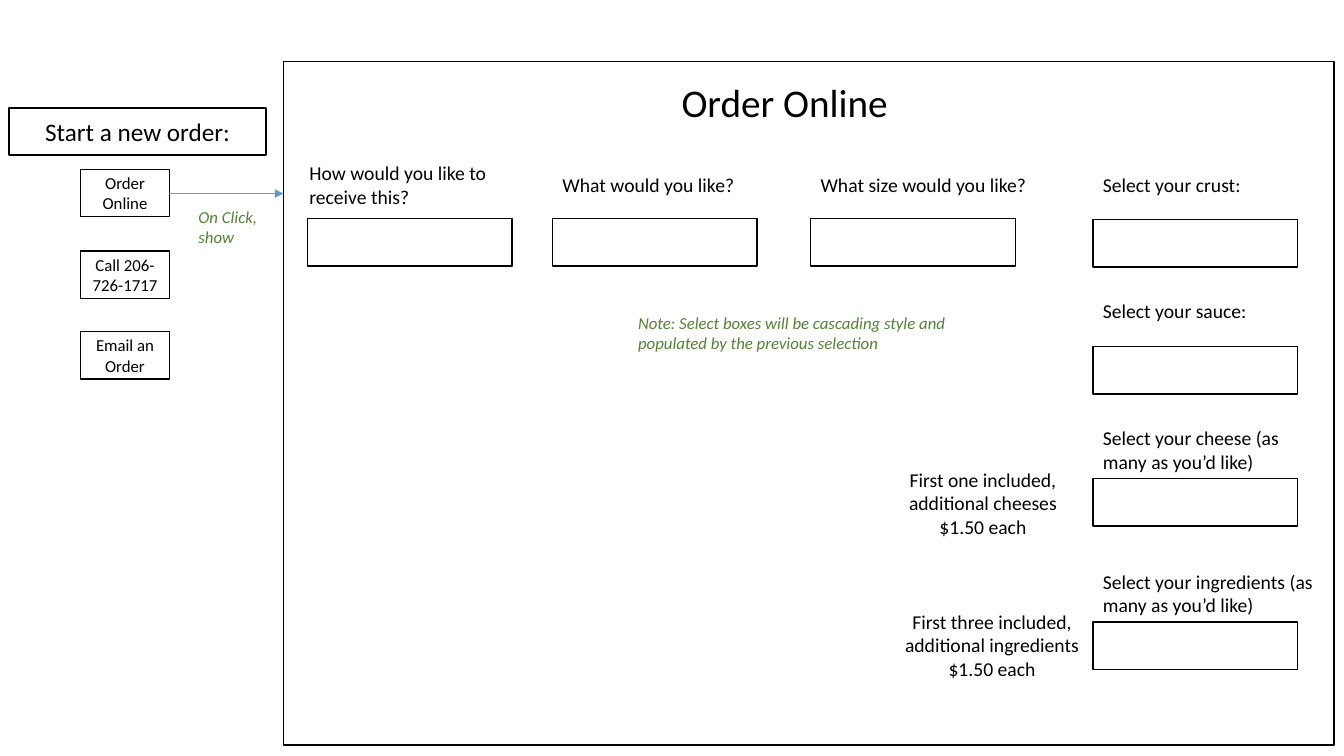
from dataclasses import dataclass

from lxml.etree import SubElement
from pptx import Presentation
from pptx.dml.color import RGBColor
from pptx.enum.shapes import MSO_CONNECTOR as Conn, MSO_SHAPE as Kind
from pptx.enum.text import MSO_ANCHOR as Anchor, MSO_AUTO_SIZE as Auto, PP_ALIGN as Align
from pptx.oxml.ns import qn
from pptx.util import Emu, Pt

PX = 9144
BLACK, WHITE, GREEN, BLUE = "000000", "FFFFFF", "548235", "5B9BD5"
BOX_W, BOX_H = 203, 47


@dataclass(frozen=True)
class Rect:
    x: int
    y: int
    w: int
    h: int


@dataclass(frozen=True)
class Button:
    text: str
    area: Rect
    size: int = 12


@dataclass(frozen=True)
class Label:
    text: str
    area: Rect
    size: int = 14
    wrap: bool = True
    align: Align = Align.LEFT
    color: str = BLACK
    slant: bool = False


@dataclass(frozen=True)
class Field:
    label: Label
    x: int
    y: int


BUTTONS = [Button("Start a new order:", Rect(9, 107, 255, BOX_H), 18)] + [
    Button(text, Rect(80, y, 88, BOX_H))
    for text, y in (("Order Online", 168), ("Call 206-726-1717", 249), ("Email an Order", 329))
]
FIELDS = [
    Field(Label("How would you like to receive this?", Rect(297, 155, 210, 57)), 305, 217),
    Field(Label("What would you like?", Rect(548, 167, 192, 34), wrap=False), 548, 217),
    Field(Label("What size would you like?", Rect(804, 167, 226, 34), wrap=False), 804, 217),
    Field(Label("Select your crust:", Rect(1084, 167, 158, 34), wrap=False), 1084, 218),
    Field(Label("Select your sauce:", Rect(1084, 292, 164, 34), wrap=False), 1084, 344),
    Field(Label("Select your cheese (as many as you’d like)", Rect(1084, 418, 195, 57)), 1084, 475),
    Field(Label("Select your ingredients (as many as you’d like)", Rect(1084, 560, 254, 57)), 1084, 617),
]
NOTES = [
    Label("First one included, additional cheeses $1.50 each",
          Rect(875, 459, 200, 81), align=Align.CENTER),
    Label("First three included, additional ingredients $1.50 each",
          Rect(884, 600, 200, 81), align=Align.CENTER),
    Label("Note: Select boxes will be cascading style and populated by the previous selection",
          Rect(623, 305, 358, 50), 12, color=GREEN, slant=True),
    Label("On Click, show", Rect(187, 200, 109, 50), 12, color=GREEN, slant=True),
]
TITLE = Label("Order Online", Rect(666, 73, 227, 57), 28, wrap=False)


def px(n: int) -> Emu:
    return Emu(n * PX)


def rgb(code: str) -> RGBColor:
    return RGBColor.from_string(code)


def place(area: Rect) -> tuple[Emu, Emu, Emu, Emu]:
    return px(area.x), px(area.y), px(area.w), px(area.h)


def write(frame, text: str, size: int, align: Align, color: str = BLACK, slant: bool = False) -> None:
    para = frame.paragraphs[0]
    para.alignment = align
    run = para.add_run()
    run.text = text
    font = run.font
    font.name, font.size, font.italic = "Calibri", Pt(size), slant
    font.color.rgb = rgb(color)


def add_box(slide, area: Rect, filled: bool = True):
    box = slide.shapes.add_shape(Kind.RECTANGLE, *place(area))
    box.shadow.inherit = False
    if filled:
        box.fill.solid()
        box.fill.fore_color.rgb = rgb(WHITE)
    else:
        box.fill.background()
    box.line.color.rgb = rgb(BLACK)
    box.line.width = Pt(1)
    return box


def add_button(slide, button: Button) -> None:
    frame = add_box(slide, button.area).text_frame
    frame.word_wrap = True
    frame.vertical_anchor = Anchor.MIDDLE
    write(frame, button.text, button.size, Align.CENTER)


def fill_label(shape, label: Label) -> None:
    shape.left, shape.top, shape.width, shape.height = place(label.area)
    frame = shape.text_frame
    frame.word_wrap = label.wrap
    frame.auto_size = Auto.SHAPE_TO_FIT_TEXT
    frame.vertical_anchor = Anchor.TOP
    write(frame, label.text, label.size, label.align, label.color, label.slant)


def add_label(slide, label: Label) -> None:
    fill_label(slide.shapes.add_textbox(*place(label.area)), label)


def add_field(slide, field: Field) -> None:
    add_box(slide, Rect(field.x, field.y, BOX_W, BOX_H))
    add_label(slide, field.label)


def add_arrow(slide, x: int, y: int, end: int) -> None:
    arrow = slide.shapes.add_connector(Conn.STRAIGHT, px(x), px(y), px(end), px(y))
    arrow.line.color.rgb = rgb(BLUE)
    arrow.line.width = Pt(0.5)
    SubElement(arrow.line._get_or_add_ln(), qn("a:tailEnd"), type="triangle")
    SubElement(arrow._element.spPr, qn("a:effectLst"))


def main() -> None:
    deck = Presentation()
    deck.slide_width, deck.slide_height = px(1333), px(750)
    slide = deck.slides.add_slide(deck.slide_layouts[5])
    fill_label(slide.shapes.title, TITLE)
    add_box(slide, Rect(281, 61, 1042, 678), filled=False)
    for button in BUTTONS:
        add_button(slide, button)
    for field in FIELDS:
        add_field(slide, field)
    for note in NOTES:
        add_label(slide, note)
    add_arrow(slide, 168, 192, 281)
    deck.save("out.pptx")


if __name__ == "__main__":
    main()
